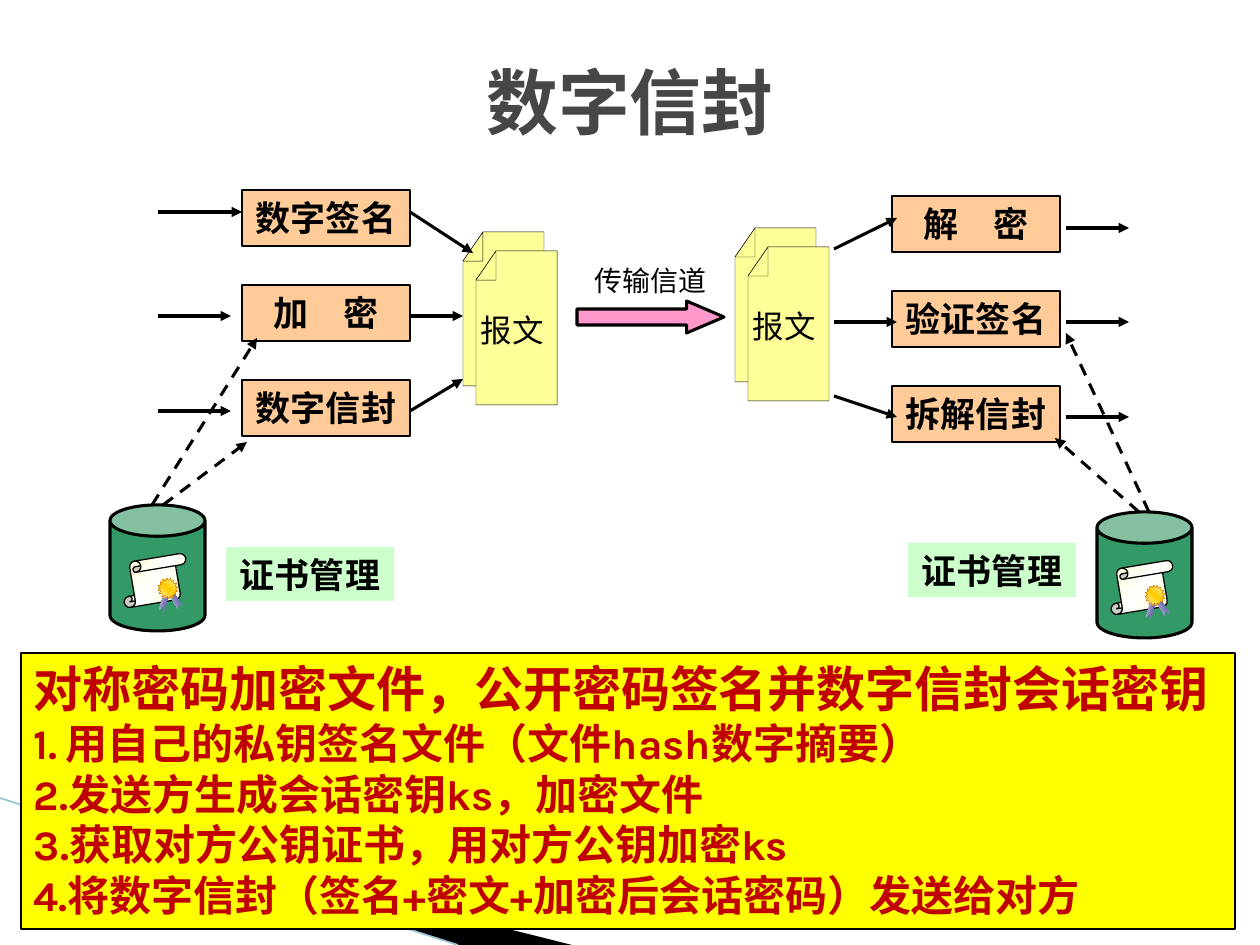
from dataclasses import dataclass

from pptx import Presentation
from pptx.dml.color import RGBColor
from pptx.enum import dml, shapes, text
from pptx.oxml import parse_xml
from pptx.oxml.ns import nsdecls
from pptx.util import Emu, Pt

SCALE = 914400 / 126  # EMU in one px
SHAPE, ALIGN, ANCHOR = shapes.MSO_SHAPE, text.PP_ALIGN, text.MSO_ANCHOR


@dataclass(frozen=True)
class Theme:
    black: str = "000000"
    heading: str = "464646"
    edge: str = "97C5D8"
    step: str = "FFCC99"
    page: str = "FFFF99"
    store: str = "339966"
    tag: str = "CCFFCC"
    channel: str = "FF99CC"
    note: str = "FFFF00"
    note_text: str = "C00000"
    seal_line: str = "CC6600"
    scroll: tuple = ("FFFFCC", "FFFFFF", "FFFFCC")
    ribbon: tuple = ("D6D6E3", "333399")
    seal: tuple = ("FFFFCC", "FFCC00", "FFFFCC")
    title_font: str = "DejaVu Sans Mono"
    label_font: str = "Karla"
    plain_font: str = "Noto Sans CJK SC"
    title_size: float = 41
    lead_size: float = 28
    point_size: float = 24
    label_size: float = 20
    page_size: float = 18
    channel_size: float = 16
    hair: float = 0.25
    thin: float = 0.75
    thick: float = 1.75


THEME = Theme()


def px(value):
    return Emu(round(value * SCALE))


def paint(shape, fill, line=None, width=THEME.thin):
    shape.shadow.inherit = False
    if isinstance(fill, str):
        shape.fill.solid()
        shape.fill.fore_color.rgb = RGBColor.from_string(fill)
    if line:
        shape.line.color.rgb = RGBColor.from_string(line)
        shape.line.width = Pt(width)
    else:
        shape.line.fill.background()


def add_preset(parent, kind, box, fill, line=None, width=THEME.thin, adjust=(), rotation=0):
    shape = parent.shapes.add_shape(kind, *map(px, box))
    for index, value in enumerate(adjust):
        shape.adjustments[index] = value
    shape.rotation = rotation
    paint(shape, fill, line, width)
    return shape


def add_gradient(shape, colors, angle):
    stops = "".join(
        f'<a:gs pos="{100000 * i // (len(colors) - 1)}"><a:srgbClr val="{color}"/></a:gs>'
        for i, color in enumerate(colors))
    gradient = parse_xml(f'<a:gradFill {nsdecls("a")} rotWithShape="1"><a:gsLst>{stops}</a:gsLst>'
                         f'<a:lin ang="{angle * 60000}" scaled="1"/></a:gradFill>')
    shape.element.spPr.insert(2, gradient)


def add_outline(parent, points, fill, line=None):
    points = [(px(x), px(y)) for x, y in points]
    builder = parent.shapes.build_freeform(*points[0])
    builder.add_line_segments(points[1:], close=True)
    paint(builder.convert_to_shape(), fill, line, THEME.hair)


def add_line(slide, start, end, color=THEME.black, width=THEME.thick, dashed=False, arrow=True):
    line = slide.shapes.add_connector(shapes.MSO_CONNECTOR.STRAIGHT, *map(px, (*start, *end)))
    line.line.color.rgb = RGBColor.from_string(color)
    line.line.width = Pt(width)
    if dashed:
        line.line.dash_style = dml.MSO_LINE.DASH
    properties = line.element.spPr
    if arrow:
        line.line._get_or_add_ln().append(parse_xml(f'<a:tailEnd {nsdecls("a")} type="triangle"/>'))
    properties.append(parse_xml(f'<a:effectLst {nsdecls("a")}/>'))


def style_paragraph(paragraph, words, font, size, color=THEME.black, bold=False, align=ALIGN.CENTER):
    paragraph.alignment = align
    run = paragraph.add_run()
    run.text = words
    for name, value in {"name": font, "size": Pt(size), "bold": bold}.items():
        setattr(run.font, name, value)
    run.font.color.rgb = RGBColor.from_string(color)
    run.font._element.append(parse_xml(f'<a:ea {nsdecls("a")} typeface="{font}"/>'))


def set_frame(shape, margin_x=13, margin_y=6, anchor=ANCHOR.TOP, wrap=True):
    frame = shape.text_frame
    values = {"margin_left": px(margin_x), "margin_right": px(margin_x), "margin_top": px(margin_y),
              "margin_bottom": px(margin_y), "vertical_anchor": anchor, "word_wrap": wrap}
    for name, value in values.items():
        setattr(frame, name, value)
    return frame


def add_label(slide, box, words, fill, line=None):
    frame = set_frame(add_preset(slide, SHAPE.RECTANGLE, box, fill, line), margin_x=0)
    style_paragraph(frame.paragraphs[0], words, THEME.label_font, THEME.label_size, bold=True)


def draw_document(slide, left, top):
    group = slide.shapes.add_group_shape()
    width, height, fold_x, fold_y = 81, 154, 20, 29
    for x, y in ((left, top), (left + 13, top + 19)):
        corner = [(x + fold_x, y), (x, y + fold_y)]
        page = [(x + width, y), (x + width, y + height), (x, y + fold_y), corner[0]]
        page.insert(2, (x, y + height))
        add_outline(group, page, THEME.page, THEME.black)
        add_outline(group, [*corner, (x + fold_x, y + fold_y)], THEME.page, THEME.black)
    box = group.shapes.add_textbox(*map(px, (left + 18, top + 79, 63, 38)))
    frame = set_frame(box, 0, 0, wrap=False)
    style_paragraph(frame.paragraphs[0], "报文", THEME.plain_font, THEME.page_size, align=ALIGN.LEFT)


def draw_certificate_store(slide, left, top):
    add_preset(slide, SHAPE.CAN, (left, top, 95, 126), THEME.store, THEME.black, THEME.thick, (0.33,))
    group = slide.shapes.add_group_shape()
    # Scroll, two ribbons and seal
    parts = (
        (SHAPE.VERTICAL_SCROLL, (11, 53, 68, 45), THEME.scroll, 45, THEME.black, THEME.thin, 0.25, 350.5),
        (SHAPE.CHEVRON, (54, 91, 21, 5), THEME.ribbon, 90, None, 0, 1, 239.1),
        (SHAPE.CHEVRON, (44, 93, 21, 5), THEME.ribbon, 90, None, 0, 1, 286.7),
        (SHAPE.STAR_16_POINT, (48, 73, 20, 21), THEME.seal, 315, THEME.seal_line, THEME.hair, 0.38, 352.9),
    )
    for kind, (x, y, w, h), colors, angle, line, width, adjust, rotation in parts:
        shape = add_preset(group, kind, (left + x, top + y, w, h), None, line, width, (adjust,), rotation)
        add_gradient(shape, colors, angle)


def draw_side(slide, left, top, steps, steps_x, document, store, tag, arrows, dashed):
    """One end of the exchange; every position is relative to (left, top)."""
    draw_certificate_store(slide, left + store[0], top + store[1])
    for row, words in enumerate(steps):
        add_label(slide, (left + steps_x, top + 95 * row, 168, 56), words, THEME.step, THEME.black)
    draw_document(slide, left + document[0], top + document[1])
    add_label(slide, (left + tag[0], top + tag[1], 168, 54), "证书管理", THEME.tag)
    for lines, is_dashed in ((arrows, False), (dashed, True)):
        for x1, y1, x2, y2 in lines:
            add_line(slide, (left + x1, top + y1), (left + x2, top + y2), dashed=is_dashed)


def draw_channel(slide, left, top):
    add_preset(slide, SHAPE.RIGHT_ARROW, (left, top + 43, 147, 32), THEME.channel,
               THEME.black, THEME.thick, (0.5, 1.17))
    frame = set_frame(slide.shapes.add_textbox(*map(px, (left, top, 147, 47))))
    style_paragraph(frame.paragraphs[0], "传输信道", THEME.plain_font, THEME.channel_size)


def draw_backdrop(slide):
    add_outline(slide, [(67, 818), (572, 945), (459, 945), (68, 819)], THEME.black)
    add_line(slide, (0, 798), (458, 945), THEME.edge, 0.95, arrow=False)


def draw_title(slide, box):
    frame = set_frame(slide.shapes.add_textbox(*map(px, box)), anchor=ANCHOR.MIDDLE)
    style_paragraph(frame.paragraphs[0], "数字信封", THEME.title_font, THEME.title_size, THEME.heading, True)


def draw_note(slide, box, lead, points):
    frame = set_frame(add_preset(slide, SHAPE.RECTANGLE, box, THEME.note, THEME.black))
    for index, words in enumerate((lead, *points)):
        paragraph = frame.paragraphs[0] if index == 0 else frame.add_paragraph()
        properties = paragraph._p.get_or_add_pPr()
        properties.set("marL", str(px(32)))
        properties.set("indent", str(px(-32)))
        if index:
            properties.append(parse_xml(f'<a:buAutoNum {nsdecls("a")} type="arabicPeriod"/>'))
        size = THEME.point_size if index else THEME.lead_size
        style_paragraph(paragraph, words, THEME.label_font, size, THEME.note_text, True, ALIGN.LEFT)


def main():
    presentation = Presentation()
    presentation.slide_width, presentation.slide_height = px(1260), px(945)
    slide = presentation.slides.add_slide(presentation.slide_layouts[6])
    draw_backdrop(slide)
    # Sender
    draw_side(slide, 109, 190, ("数字签名", "加　密", "数字信封"), steps_x=133,
              document=(354, 42), store=(1, 315), tag=(117, 357),
              arrows=((49, 22, 133, 22), (49, 126, 122, 126), (49, 221, 122, 221),
                      (301, 22, 364, 63), (301, 126, 354, 126), (301, 221, 354, 189)),
              dashed=((43, 315, 148, 148), (54, 315, 138, 252)))
    draw_channel(slide, 577, 258)
    # Receiver
    draw_side(slide, 735, 196, ("解　密", "验证签名", "拆解信封"), steps_x=157,
              document=(0, 32), store=(362, 316), tag=(173, 347),
              arrows=((331, 32, 394, 32), (331, 126, 394, 126), (331, 221, 394, 221),
                      (99, 53, 162, 22), (99, 126, 162, 126), (99, 200, 162, 221)),
              dashed=((414, 316, 331, 137), (404, 316, 320, 242)))
    draw_note(slide, (21, 653, 1214, 276), "对称密码加密文件，公开密码签名并数字信封会话密钥",
              ("用自己的私钥签名文件（文件hash数字摘要）", "发送方生成会话密钥ks，加密文件",
               "获取对方公钥证书，用对方公钥加密ks", "将数字信封（签名+密文+加密后会话密码）发送给对方"))
    draw_title(slide, (63, 38, 1134, 126))
    presentation.save("out.pptx")


if __name__ == "__main__":
    main()
